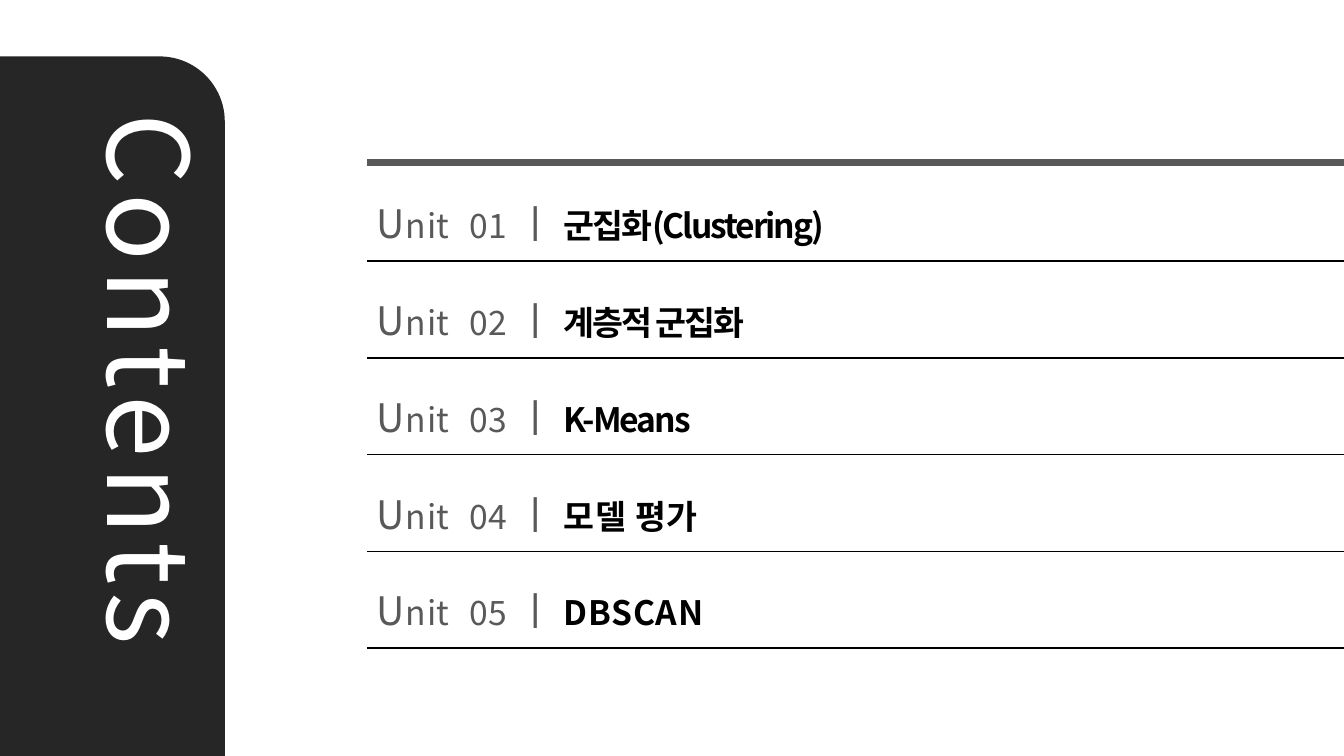
from lxml.etree import SubElement
from pptx import Presentation
from pptx.dml.color import RGBColor
from pptx.enum.shapes import MSO_CONNECTOR, MSO_SHAPE
from pptx.enum.text import MSO_ANCHOR
from pptx.oxml.ns import qn
from pptx.util import Inches, Pt

FONT = "Noto Sans CJK KR"
GREY = "595959"
BLACK = "000000"
LEFT = 3.64
RIGHT = 13.33
FIRST_RULE = 2.59
ROW_PITCH = 0.96
UNITS = [
    ("군집화(Clustering)", -1.5),
    ("계층적 군집화", -1.5),
    ("K-Means", -1.5),
    ("모델 평가", 0.5),
    ("DBSCAN", 0.5),
]


def color(value):
    return RGBColor.from_string(value)


def add_span(para, text, size, fill, spacing=0.5, bold=False):
    span = para.add_run()
    span.text = text
    formats = {"name": FONT, "size": Pt(size), "bold": bold}
    for name, value in formats.items():
        setattr(span.font, name, value)
    span.font.color.rgb = color(fill)
    properties = span.font._element
    properties.set("spc", str(round(spacing * 100)))
    SubElement(properties, qn("a:ea")).set("typeface", FONT)


def add_box(page, left, top, width, height, anchor):
    box = page.shapes.add_textbox(
        Inches(left), Inches(top), Inches(width), Inches(height)
    )
    formats = {"word_wrap": True, "vertical_anchor": anchor}
    for name, value in formats.items():
        setattr(box.text_frame, name, value)
    return box


def add_rule(page, y, stroke, width):
    rule = page.shapes.add_connector(
        MSO_CONNECTOR.STRAIGHT, Inches(LEFT), Inches(y), Inches(RIGHT), Inches(y)
    )
    rule.line.color.rgb = color(stroke)
    rule.line.width = Pt(width)
    SubElement(rule._element.spPr, qn("a:effectLst"))


def add_side_panel(page):
    panel = page.shapes.add_shape(
        MSO_SHAPE.ROUND_1_RECTANGLE,
        Inches(0), Inches(0.56), Inches(2.23), Inches(6.94),
    )
    panel.adjustments[0] = 0.29
    panel.shadow.inherit = False
    panel.fill.solid()
    panel.fill.fore_color.rgb = color("262626")
    panel.line.fill.background()


def add_title(page):
    box = add_box(page, -1.98, 3.79, 6.97, 1.45, MSO_ANCHOR.TOP)
    box.rotation = 90
    add_span(box.text_frame.paragraphs[0], "Contents", 80, "FFFFFF", 6)


def add_unit(page, number, topic, spacing):
    rule_y = FIRST_RULE + (number - 1) * ROW_PITCH
    box = add_box(page, LEFT, rule_y - 0.76, 9.43, 0.77, MSO_ANCHOR.MIDDLE)
    para = box.text_frame.paragraphs[0]
    add_span(para, "U", 28, GREY)
    add_span(para, "nit", 24, GREY)
    add_span(para, " ", 28, GREY, 7.3)
    add_span(para, f"{number:02}", 24, GREY)
    add_span(para, " ㅣ ", 28, GREY)
    add_span(para, topic, 24, BLACK, spacing, True)
    add_rule(page, rule_y, BLACK, 1)


def main():
    deck = Presentation()
    deck.slide_width = Inches(13.33)
    deck.slide_height = Inches(7.5)
    page = deck.slides.add_slide(deck.slide_layouts[6])
    add_side_panel(page)
    add_title(page)
    add_rule(page, 1.61, GREY, 5)
    for number, (topic, spacing) in enumerate(UNITS, start=1):
        add_unit(page, number, topic, spacing)
    deck.save("out.pptx")


if __name__ == "__main__":
    main()
